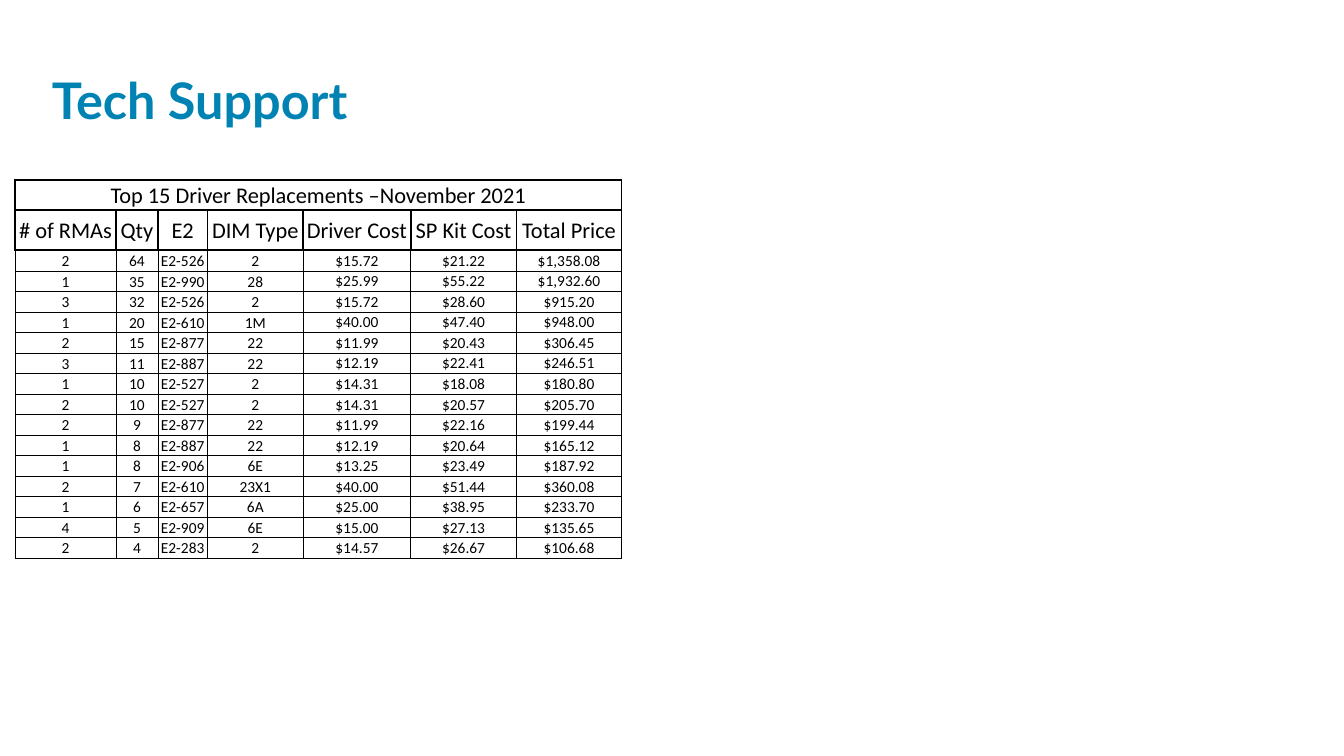
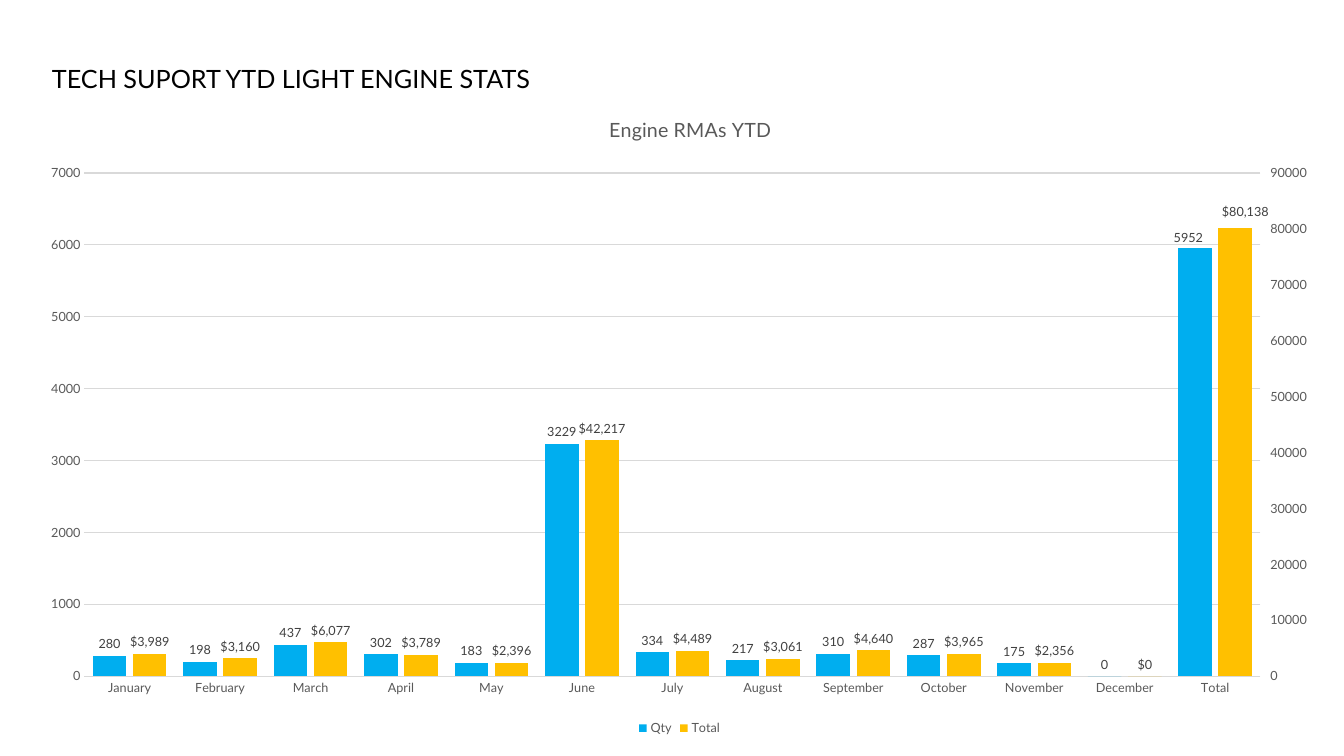
from copy import deepcopy

from lxml.etree import SubElement
from pptx import Presentation
from pptx.chart.axis import ValueAxis
from pptx.chart.data import CategoryChartData
from pptx.dml.color import RGBColor
from pptx.enum.chart import (XL_CHART_TYPE as ChartType, XL_LABEL_POSITION as LabelPos,
                             XL_LEGEND_POSITION as LegendPos, XL_TICK_MARK as TickMark)
from pptx.enum.text import MSO_ANCHOR as Anchor, PP_ALIGN as Align
from pptx.oxml import parse_xml
from pptx.oxml.ns import nsdecls, qn
from pptx.util import Inches, Pt

BLACK = RGBColor(0x00, 0x00, 0x00)
TITLE_BLUE = RGBColor(0x00, 0x83, 0xB3)
QTY_BLUE = RGBColor(0x00, 0xAE, 0xEF)
TOTAL_GOLD = RGBColor(0xFF, 0xC0, 0x00)
AXIS_GREY = RGBColor(0x59, 0x59, 0x59)
LABEL_GREY = RGBColor(0x40, 0x40, 0x40)
GRID_GREY = RGBColor(0xD9, 0xD9, 0xD9)

GRID_COLS, GRID_ROWS = 160, 90
SLIDE_W, SLIDE_H = Inches(13.33), Inches(7.5)
MARGIN = 5
CHART_COLS, CHART_ROWS = 155.8, 76.2

TITLE_FONT = {"name": "Lato", "size": Pt(36), "bold": True}
HEADING_FONT = {"name": "Lato", "size": Pt(18)}
CHART_FONT = {"name": "Lato", "size": Pt(9)}
CHART_TITLE_FONT = {"name": "Lato", "size": Pt(14), "bold": False}
HEADER_FONT = {"name": "Calibri", "size": Pt(16)}
BODY_FONT = {"name": "Calibri", "size": Pt(11)}
CELL_MARGINS = {"margin_left": Inches(0.01), "margin_top": Inches(0.01),
                "margin_right": Inches(0.01), "margin_bottom": 0}
THIN, THICK = Pt(0.5), Pt(1.5)

TABLE_TITLE = "Top 15 Driver Replacements –November 2021"
HEADERS = ["# of RMAs", "Qty", "E2", "DIM Type", "Driver Cost", "SP Kit Cost", "Total Price"]
COLUMN_SPANS = [12, 5, 5.9, 11.4, 12.8, 12.6, 12.5]
TITLE_SPAN, HEADER_SPAN, BODY_SPAN = 3.6, 4.8, 36.7
FIRST_COST_COLUMN = 4
REPLACEMENTS = [
    ("2", "64", "E2-526", "2", "$15.72", "$21.22", "$1,358.08"),
    ("1", "35", "E2-990", "28", "$25.99", "$55.22", "$1,932.60"),
    ("3", "32", "E2-526", "2", "$15.72", "$28.60", "$915.20"),
    ("1", "20", "E2-610", "1M", "$40.00", "$47.40", "$948.00"),
    ("2", "15", "E2-877", "22", "$11.99", "$20.43", "$306.45"),
    ("3", "11", "E2-887", "22", "$12.19", "$22.41", "$246.51"),
    ("1", "10", "E2-527", "2", "$14.31", "$18.08", "$180.80"),
    ("2", "10", "E2-527", "2", "$14.31", "$20.57", "$205.70"),
    ("2", "9", "E2-877", "22", "$11.99", "$22.16", "$199.44"),
    ("1", "8", "E2-887", "22", "$12.19", "$20.64", "$165.12"),
    ("1", "8", "E2-906", "6E", "$13.25", "$23.49", "$187.92"),
    ("2", "7", "E2-610", "23X1", "$40.00", "$51.44", "$360.08"),
    ("1", "6", "E2-657", "6A", "$25.00", "$38.95", "$233.70"),
    ("4", "5", "E2-909", "6E", "$15.00", "$27.13", "$135.65"),
    ("2", "4", "E2-283", "2", "$14.57", "$26.67", "$106.68"),
]

MONTHS = ["January", "February", "March", "April", "May", "June", "July", "August",
          "September", "October", "November", "December", "Total"]
QTY = [280, 198, 437, 302, 183, 3229, 334, 217, 310, 287, 175, 0, 5952]
TOTAL = [3989, 3160, 6077, 3789, 2396, 42217, 4489, 3061, 4640, 3965, 2356, 0, 80138]
# Empty series keep a free place beside each bar for the other axis.
SPACER = [None] * len(MONTHS)
CHART_SERIES = [("Qty", QTY), ("Series 2", SPACER), ("Series 3", SPACER), ("Total", TOTAL)]
SPACER_POSITIONS = [1, 2]
RIGHT_AXIS_IDS = {"catAx": "50010", "valAx": "50020"}


def cols(count):
    return round(SLIDE_W * count / GRID_COLS)


def rows(count):
    return round(SLIDE_H * count / GRID_ROWS)


def area(left, top, width, height):
    return cols(left), rows(top), cols(width), rows(height)


def apply(target, values):
    for attribute, value in values.items():
        setattr(target, attribute, value)


def set_font(font, values, color):
    apply(font, values)
    font.color.rgb = color


def add_text(slide, place, text, font, color, anchor=Anchor.TOP, spacing=None):
    frame = slide.shapes.add_textbox(*area(*place)).text_frame
    apply(frame, {"word_wrap": True, "vertical_anchor": anchor})
    paragraph = frame.paragraphs[0]
    paragraph.line_spacing = spacing
    run = paragraph.add_run()
    run.text = text
    set_font(run.font, font, color)


def set_borders(cell, **widths):
    properties = cell._tc.get_or_add_tcPr()
    for side in "LRTB":
        width = widths.get(side, widths["every"])
        properties.append(parse_xml(
            f'<a:ln{side} {nsdecls("a")} w="{width}"><a:solidFill>'
            f'<a:srgbClr val="{BLACK}"/></a:solidFill></a:ln{side}>'))


def fill_cell(cell, text, font, anchor, **border_widths):
    apply(cell, {**CELL_MARGINS, "vertical_anchor": anchor})
    set_borders(cell, **border_widths)
    cell.fill.background()
    paragraph = cell.text_frame.paragraphs[0]
    paragraph.alignment = Align.CENTER
    set_font(paragraph.font, font, BLACK)
    if text:
        run = paragraph.add_run()
        run.text = text
        set_font(run.font, font, BLACK)


def add_replacement_table(slide):
    row_spans = [TITLE_SPAN, HEADER_SPAN] + [BODY_SPAN / len(REPLACEMENTS)] * len(REPLACEMENTS)
    place = area(1.8, 21.4, sum(COLUMN_SPANS), sum(row_spans))
    table = slide.shapes.add_table(len(row_spans), len(HEADERS), *place).table
    apply(table, {"first_row": False, "horz_banding": False})
    for column, span in zip(table.columns, COLUMN_SPANS):
        column.width = cols(span)
    for row, span in zip(table.rows, row_spans):
        row.height = rows(span)

    title_row = [TABLE_TITLE] + [""] * (len(HEADERS) - 1)
    for r, texts in enumerate([title_row, HEADERS]):
        for c, text in enumerate(texts):
            fill_cell(table.cell(r, c), text, HEADER_FONT, Anchor.MIDDLE, every=THICK)
    table.cell(0, 0).merge(table.cell(0, len(HEADERS) - 1))
    for r, texts in enumerate(REPLACEMENTS, start=2):
        top = THICK if r == 2 else THIN
        for c, text in enumerate(texts):
            anchor = Anchor.MIDDLE if c >= FIRST_COST_COLUMN else Anchor.BOTTOM
            fill_cell(table.cell(r, c), text, BODY_FONT, anchor, every=THIN, T=top)


def set_layout(parent, index, modes, **spans):
    """Place a chart part by hand; spans are grid columns (x, w) and rows (y, h)."""
    for automatic in parent.findall(qn("c:layout")):
        parent.remove(automatic)
    layout = parse_xml(f'<c:layout {nsdecls("c")}><c:manualLayout/></c:layout>')
    shares = {tag: span / (CHART_COLS if tag in "xw" else CHART_ROWS)
              for tag, span in spans.items()}
    for tag, value in {**modes, **shares}.items():
        SubElement(layout[0], qn(f"c:{tag}")).set("val", str(value))
    parent.insert(index, layout)


def style_line(line):
    line.color.rgb = GRID_GREY
    line.width = Pt(0.75)


def style_axis(axis, tick=TickMark.NONE):
    apply(axis, {"major_tick_mark": tick, "minor_tick_mark": TickMark.NONE})
    set_font(axis.tick_labels.font, CHART_FONT, AXIS_GREY)


def style_value_axis(axis, top, step, tick, gridlines):
    style_axis(axis, tick)
    apply(axis, {"minimum_scale": 0, "maximum_scale": top, "major_unit": step,
                 "has_major_gridlines": gridlines})
    apply(axis.tick_labels, {"number_format": "General", "number_format_is_linked": False})
    axis.format.line.fill.background()
    if gridlines:
        style_line(axis.major_gridlines.format.line)


def split_to_right_axis(chart):
    """Move the second half of the series to a right-hand value axis and return that axis."""
    left_bars = chart.plots[0]._element
    plot_area = left_bars.getparent()
    right_bars = deepcopy(left_bars)
    left_bars.addnext(right_bars)
    half = len(CHART_SERIES) // 2
    for bars, moved in ((left_bars, slice(half, None)), (right_bars, slice(half))):
        for series in bars.findall(qn("c:ser"))[moved]:
            bars.remove(series)
    for axis_id, new_id in zip(right_bars.findall(qn("c:axId")), RIGHT_AXIS_IDS.values()):
        axis_id.set("val", new_id)

    right_axes = {}
    last_axis = plot_area.find(qn("c:valAx"))
    for tag, crossing in (("valAx", "catAx"), ("catAx", "valAx")):
        axis = deepcopy(plot_area.find(qn(f"c:{tag}")))
        axis.find(qn("c:axId")).set("val", RIGHT_AXIS_IDS[tag])
        axis.find(qn("c:crossAx")).set("val", RIGHT_AXIS_IDS[crossing])
        last_axis.addnext(axis)
        last_axis = axis
        right_axes[tag] = axis
    right_axes["catAx"].find(qn("c:delete")).set("val", "1")
    value_axis = right_axes["valAx"]
    value_axis.find(qn("c:axPos")).set("val", "r")
    for crosses in value_axis.findall(qn("c:crosses")):
        value_axis.remove(crosses)
    value_axis.find(qn("c:crossAx")).addnext(
        parse_xml(f'<c:crosses {nsdecls("c")} val="max"/>'))
    return ValueAxis(value_axis)


def style_series(series, color, number_format, last_label_shift):
    series.format.fill.solid()
    series.format.fill.fore_color.rgb = color
    labels = series.data_labels
    apply(labels, {"show_value": True, "position": LabelPos.OUTSIDE_END,
                   "number_format": number_format, "number_format_is_linked": False})
    set_font(labels.font, CHART_FONT, LABEL_GREY)
    last_label = series.points[len(MONTHS) - 1].data_label
    last_label.position = LabelPos.OUTSIDE_END
    set_font(last_label.font, CHART_FONT, LABEL_GREY)
    shift_x, shift_y = last_label_shift
    set_layout(labels._element.find(qn("c:dLbl")), 1, {}, x=shift_x, y=shift_y)


def style_legend(chart):
    chart.has_legend = True
    legend = chart.legend
    apply(legend, {"position": LegendPos.BOTTOM, "include_in_layout": False})
    set_font(legend.font, CHART_FONT, AXIS_GREY)
    for place, position in enumerate(SPACER_POSITIONS, start=1):
        legend._element.insert(place, parse_xml(
            f'<c:legendEntry {nsdecls("c")}><c:idx val="{position}"/>'
            '<c:delete val="1"/></c:legendEntry>'))


def style_chart_title(chart, text, modes):
    chart.has_title = True
    run = chart.chart_title.text_frame.paragraphs[0].add_run()
    run.text = text
    set_font(run.font, CHART_TITLE_FONT, AXIS_GREY)
    set_layout(chart.chart_title._element, 1, modes, x=69.1, y=1.35)


def add_engine_chart(slide):
    data = CategoryChartData()
    data.categories = MONTHS
    for name, values in CHART_SERIES:
        data.add_series(name, values)
    place = area(3, 11.9, CHART_COLS, CHART_ROWS)
    chart = slide.shapes.add_chart(ChartType.COLUMN_CLUSTERED, *place, data).chart
    set_font(chart.font, {"name": "Lato", "size": Pt(10)}, BLACK)
    apply(chart.plots[0], {"gap_width": 50, "overlap": -20, "vary_by_categories": False})

    # With two value axes, chart.value_axis means the second: take the left one first.
    left_axis = chart.value_axis
    right_axis = split_to_right_axis(chart)
    style_axis(chart.category_axis)
    style_line(chart.category_axis.format.line)
    style_value_axis(left_axis, 7000, 1000, TickMark.NONE, True)
    style_value_axis(right_axis, 90000, 10000, TickMark.OUTSIDE, False)

    left_plot, right_plot = chart.plots
    style_series(left_plot.series[0], QTY_BLUE, "General", (-0.8, 0.2))
    style_series(right_plot.series[1], TOTAL_GOLD, '"$"#,##0', (1.2, -0.5))
    from_edge = {"xMode": "edge", "yMode": "edge"}
    style_chart_title(chart, "Engine RMAs YTD", from_edge)
    style_legend(chart)
    set_layout(left_plot._element.getparent(), 0, {"layoutTarget": "inner", **from_edge},
               x=7.05, y=8.7, w=140, h=59.9)


def main():
    deck = Presentation()
    apply(deck, {"slide_width": SLIDE_W, "slide_height": SLIDE_H})
    blank = deck.slide_layouts[6]

    support = deck.slides.add_slide(blank)
    add_text(support, (MARGIN, 4, 114, 12), "Tech Support", TITLE_FONT, TITLE_BLUE,
             anchor=Anchor.BOTTOM, spacing=0.8)
    add_replacement_table(support)

    engines = deck.slides.add_slide(blank)
    add_text(engines, (MARGIN, 7, 69, 4.8), "TECH SUPORT YTD LIGHT ENGINE STATS",
             HEADING_FONT, BLACK)
    add_engine_chart(engines)
    deck.save("out.pptx")


if __name__ == "__main__":
    main()
